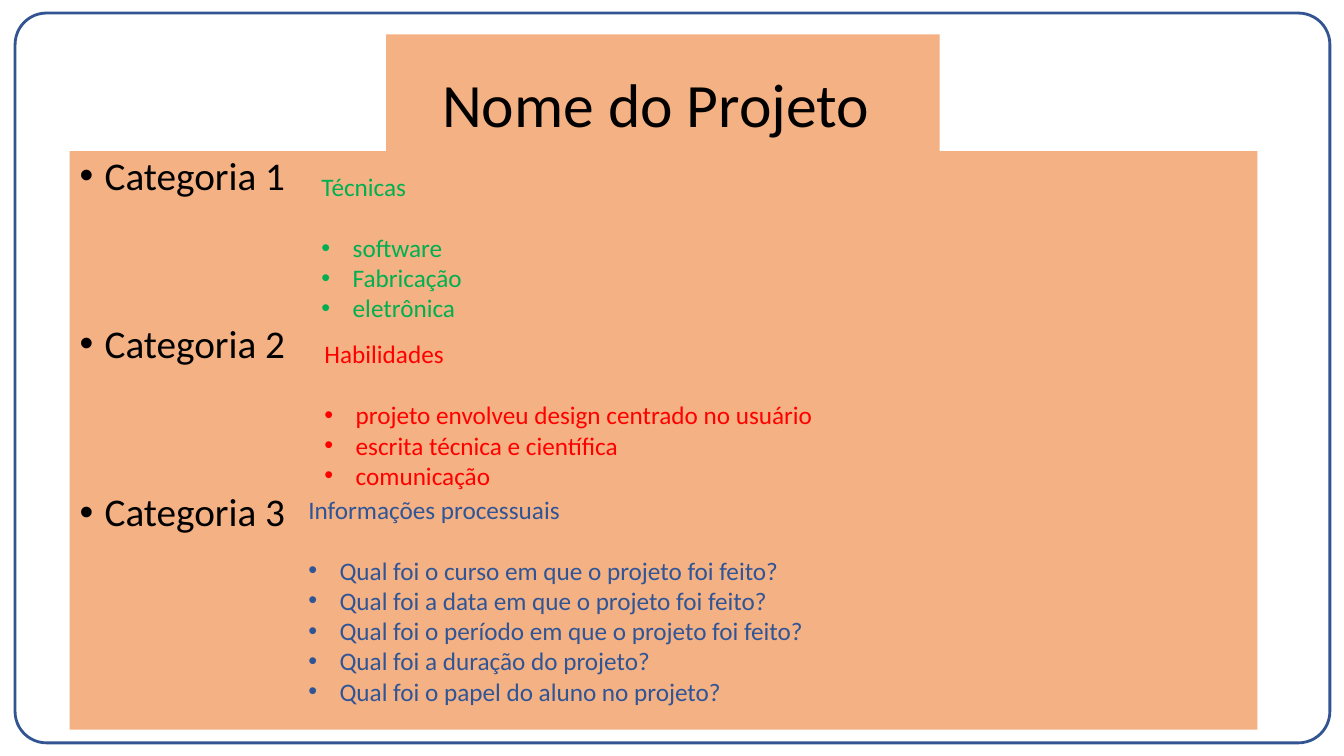
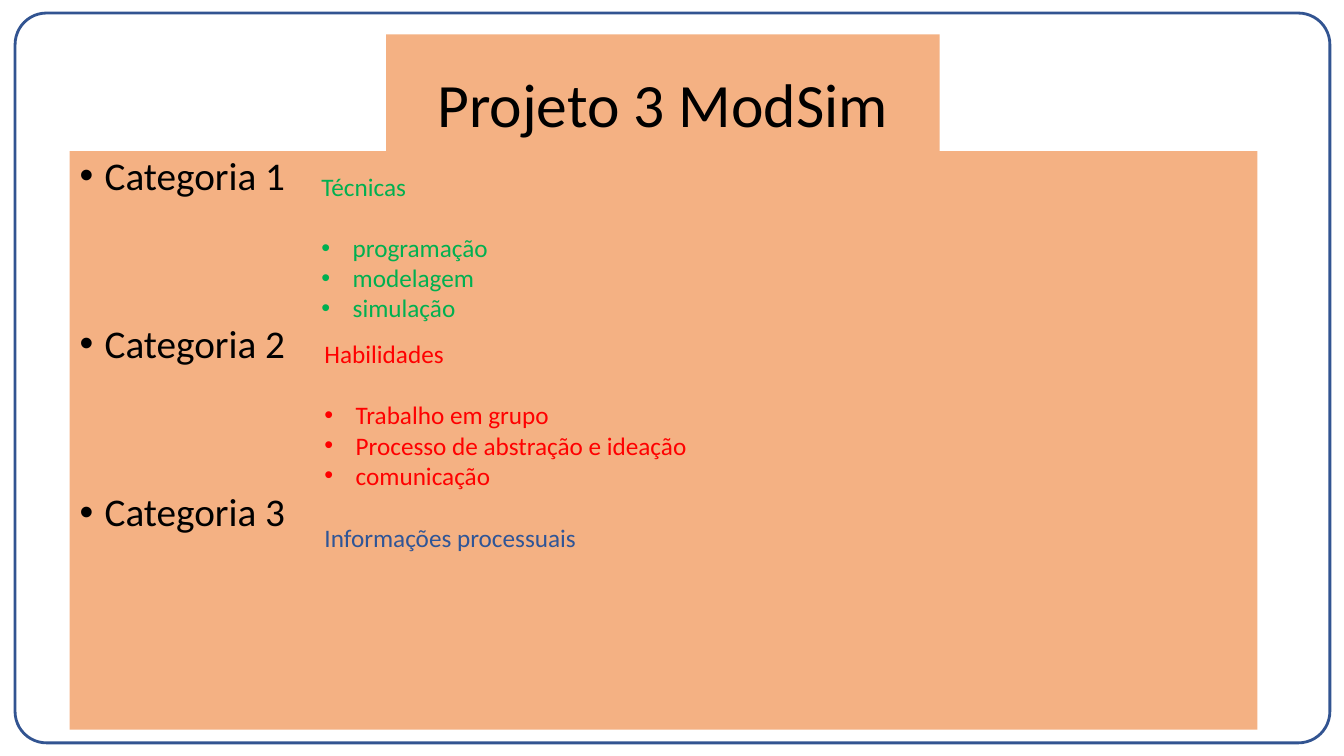
import pptx
import pptx.util
import pptx.dml.color
import pptx.enum.shapes
import pptx.enum.text
from dataclasses import dataclass
from lxml import etree

Inches = pptx.util.Inches
Pt = pptx.util.Pt
RGB = pptx.dml.color.RGBColor.from_string


@dataclass(frozen=True)
class Theme:
    font: str = "Calibri"
    panel: str = "F4B183"
    frame: str = "325491"
    text: str = "000000"
    technical: str = "00B050"
    skills: str = "FF0000"
    process: str = "2F5597"
    title_size: int = 44
    category_size: int = 28
    detail_size: int = 18


theme = Theme()


def style(p, size, color):
    for r in p.runs:
        r.font.name = theme.font
        r.font.size = Pt(size)
        r.font.color.rgb = RGB(color)


def add_bullet(p, indent):
    pPr = p._p.get_or_add_pPr()
    pPr.set("marL", str(Inches(indent)))
    pPr.set("indent", str(-Inches(indent)))
    etree.SubElement(pPr, pptx.oxml.ns.qn("a:buFont"), typeface="Arial")
    etree.SubElement(pPr, pptx.oxml.ns.qn("a:buChar"), char="•")


categories = ["Categoria 1", "Categoria 2", "Categoria 3"]
projects = [
    ("Nome do Projeto ", [
        ("Técnicas", theme.technical, (3.09, 1.65, 1.61, 1.92),
         ["software", "Fabricação", "eletrônica"]),
        ("Habilidades", theme.skills, (3.12, 3.31, 5.1, 2.52),
         ["projeto envolveu design centrado no usuário",
          "escrita técnica e científica",
          "comunicação"]),
        ("Informações processuais", theme.process, (2.96, 4.85, 5.17, 2.52),
         ["Qual foi o curso em que o projeto foi feito?",
          "Qual foi a data em que o projeto foi feito?",
          "Qual foi o período em que o projeto foi feito?",
          "Qual foi a duração do projeto?",
          "Qual foi o papel do aluno no projeto?"]),
    ]),
    ("Projeto 3 ModSim", [
        ("Técnicas", theme.technical, (3.09, 1.65, 1.87, 1.92),
         ["programação", "modelagem", "simulação"]),
        ("Habilidades", theme.skills, (3.12, 3.31, 3.84, 2.52),
         ["Trabalho em grupo",
          "Processo de abstração e ideação",
          "comunicação"]),
        ("Informações processuais", theme.process, (3.12, 5.13, 2.8, 0.71), []),
    ]),
]

prs = pptx.Presentation()
prs.slide_width = Inches(13.33)
prs.slide_height = Inches(7.5)

for name, groups in projects:
    s = prs.slides.add_slide(prs.slide_layouts[5])

    frame = s.shapes.add_shape(
        pptx.enum.shapes.MSO_SHAPE.ROUNDED_RECTANGLE,
        Inches(0.15), Inches(0.13), Inches(13.04), Inches(7.24))
    frame.adjustments[0] = 0.043
    frame.shadow.inherit = False
    frame.fill.background()
    frame.line.color.rgb = RGB(theme.frame)
    frame.line.width = Pt(2)

    title = s.shapes.title
    title.left, title.top = Inches(3.83), Inches(0.34)
    title.width, title.height = Inches(5.49), Inches(1.45)
    title.fill.solid()
    title.fill.fore_color.rgb = RGB(theme.panel)
    tf = title.text_frame
    tf.text = name
    tf.auto_size = pptx.enum.text.MSO_AUTO_SIZE.NONE
    tf.vertical_anchor = pptx.enum.text.MSO_ANCHOR.MIDDLE
    p = tf.paragraphs[0]
    p.alignment = pptx.enum.text.PP_ALIGN.CENTER
    p.line_spacing = 0.9
    style(p, theme.title_size, theme.text)

    body = s.shapes.add_textbox(Inches(0.69), Inches(1.5), Inches(11.78), Inches(5.74))
    body.fill.solid()
    body.fill.fore_color.rgb = RGB(theme.panel)
    tf = body.text_frame
    tf.word_wrap = True
    tf.text = "\n".join(categories)
    for i, p in enumerate(tf.paragraphs):
        p.line_spacing = 0.9
        p.space_before = Pt(90 if i else 0)
        add_bullet(p, 0.25)
        style(p, theme.category_size, theme.text)

    for heading, color, box, items in groups:
        sp = s.shapes.add_textbox(*[Inches(v) for v in box])
        tf = sp.text_frame
        tf.word_wrap = True
        tf.text = "\n".join([heading, *items])
        for i, p in enumerate(tf.paragraphs):
            if i == 1:
                p.space_before = Pt(22)
            if i:
                add_bullet(p, 0.31)
            style(p, theme.detail_size, color)

prs.save("out.pptx")
